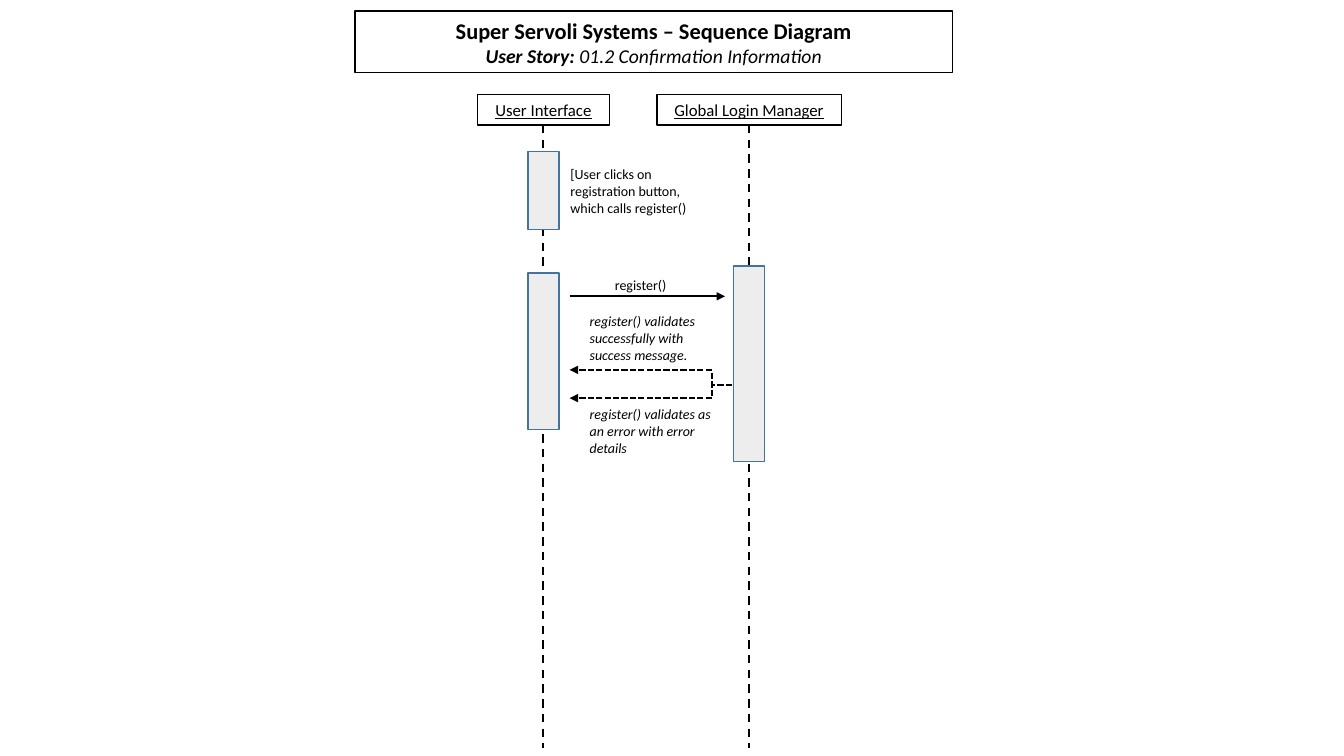
from pptx import Presentation
from pptx.dml.color import RGBColor
from pptx.enum.dml import MSO_LINE
from pptx.enum.shapes import MSO_CONNECTOR, MSO_SHAPE
from pptx.enum.text import MSO_ANCHOR, PP_ALIGN
from pptx.oxml.ns import qn
from pptx.util import Inches, Pt
from lxml import etree

RECT, LINE = MSO_SHAPE.RECTANGLE, MSO_CONNECTOR.STRAIGHT
DASH, SHORT = MSO_LINE.DASH, MSO_LINE.SQUARE_DOT
LEFT, MID = PP_ALIGN.LEFT, PP_ALIGN.CENTER
BLACK, GREY, BLUE = "000000", "EDEDED", "43739E"
UNIT = 0.1  # inches in one column or row of the grid
BAR = 3.1   # width of an active bar, in columns


def grid(*cells):
    """Turn columns and rows into slide lengths."""
    return [Inches(cell * UNIT) for cell in cells]


def ink(code):
    """Make a colour from a hex string."""
    return RGBColor.from_string(code)


def write(frame, runs, align=LEFT, wrap=True):
    """Fill a frame with (text, format) runs; a None run breaks the line."""
    frame.word_wrap = wrap
    frame.vertical_anchor = MSO_ANCHOR.MIDDLE
    par = frame.paragraphs[0]
    par.alignment = align
    for item in runs:
        if item is None:
            par.add_line_break()
            continue
        run = par.add_run()
        run.text, form = item
        run.font.color.rgb = ink(BLACK)
        for key, value in {"name": "Calibri", **form}.items():
            setattr(run.font, key, value)


def rect(slide, box, edge=BLACK, fill=None):
    """Draw an outlined box and return it."""
    shape = slide.shapes.add_shape(RECT, *grid(*box))
    shape.shadow.inherit = False
    if fill:
        shape.fill.solid()
        shape.fill.fore_color.rgb = ink(fill)
    else:
        shape.fill.background()
    shape.line.color.rgb = ink(edge)
    shape.line.width = Pt(1)
    return shape


def stroke(slide, start, end, dash=None, arrow=False):
    """Draw a line between two grid points."""
    link = slide.shapes.add_connector(LINE, *grid(*start, *end))
    link.line.color.rgb = ink(BLACK)
    link.line.width = Pt(1.5)
    if dash:
        link.line.dash_style = dash
    if arrow:
        tail = etree.SubElement(link.line._get_or_add_ln(), qn("a:tailEnd"))
        tail.set("type", "triangle")
    etree.SubElement(link._element.spPr, qn("a:effectLst"))


def note(slide, box, text, slant=False):
    """Place a small label."""
    label = slide.shapes.add_textbox(*grid(*box))
    write(label.text_frame, [(text, {"size": Pt(10), "italic": slant})])


def title(slide, box):
    """Draw the title panel."""
    story = {"size": Pt(14), "italic": True}
    write(rect(slide, box).text_frame, [
        ("Super Servoli Systems – Sequence Diagram",
         {"size": Pt(16), "bold": True}),
        None,
        ("User Story: ", {**story, "bold": True}),
        ("01.2 Confirmation Information", story),
    ], MID)


def lane(slide, box, name, wide, bars):
    """Draw a named head, its lifeline and bars (top, height) in the box."""
    left, top, width, height = box
    mid, head = left + width / 2, 3
    stroke(slide, (mid, top + head), (mid, top + height), DASH)
    write(rect(slide, (mid - wide / 2, top, wide, head)).text_frame,
          [(name, {"size": Pt(12), "underline": True})], MID, False)
    for start, size in bars:
        rect(slide, (mid - BAR / 2, top + start, BAR, size), BLUE, GREY)


def calls(slide, box):
    """Draw the click note, the call and its two replies in the box."""
    left, top, width, height = box
    right, fork = left + width, left + 14.1
    note(slide, (left - 0.9, top, 16.2, 6.1),
         "[User clicks on registration button, which calls register()")
    note(slide, (left + 3.5, top + 11, 9.9, 2.8), "register()")
    stroke(slide, (left, top + 13.5), (right - 0.7, top + 13.5), arrow=True)
    replies = [
        (20.8, 14.6, 15.4, "register() validates successfully "
                           "with success message."),
        (23.6, 23.8, 14.9, "register() validates as an error "
                           "with error details"),
    ]
    for row, start, wide, text in replies:
        stroke(slide, (fork, top + row), (left, top + row), SHORT, True)
        note(slide, (left + 1, top + start, wide, 6.1), text, True)
    stroke(slide, (fork, top + 21.1), (fork, top + 23.4), SHORT)
    stroke(slide, (right, top + 22.3), (fork + 0.1, top + 22.3), SHORT)


def main():
    """Build the sequence diagram."""
    deck = Presentation()
    deck.slide_width, deck.slide_height = Inches(13.33), Inches(7.5)
    slide = deck.slides.add_slide(deck.slide_layouts[6])
    title(slide, (35.2, 1.1, 59.3, 6.1))
    lanes = [
        (53.9, "User Interface", 13.1, [(5.6, 7.8), (17.7, 15.5)]),
        (74.3, "Global Login Manager", 18.3, [(17, 19.4)]),
    ]
    for mid, name, wide, bars in lanes:
        lane(slide, (mid - 10, 9.4, 20, 64.8), name, wide, bars)
    calls(slide, (56.5, 15.9, 16.1, 30))
    deck.save("out.pptx")


main()
